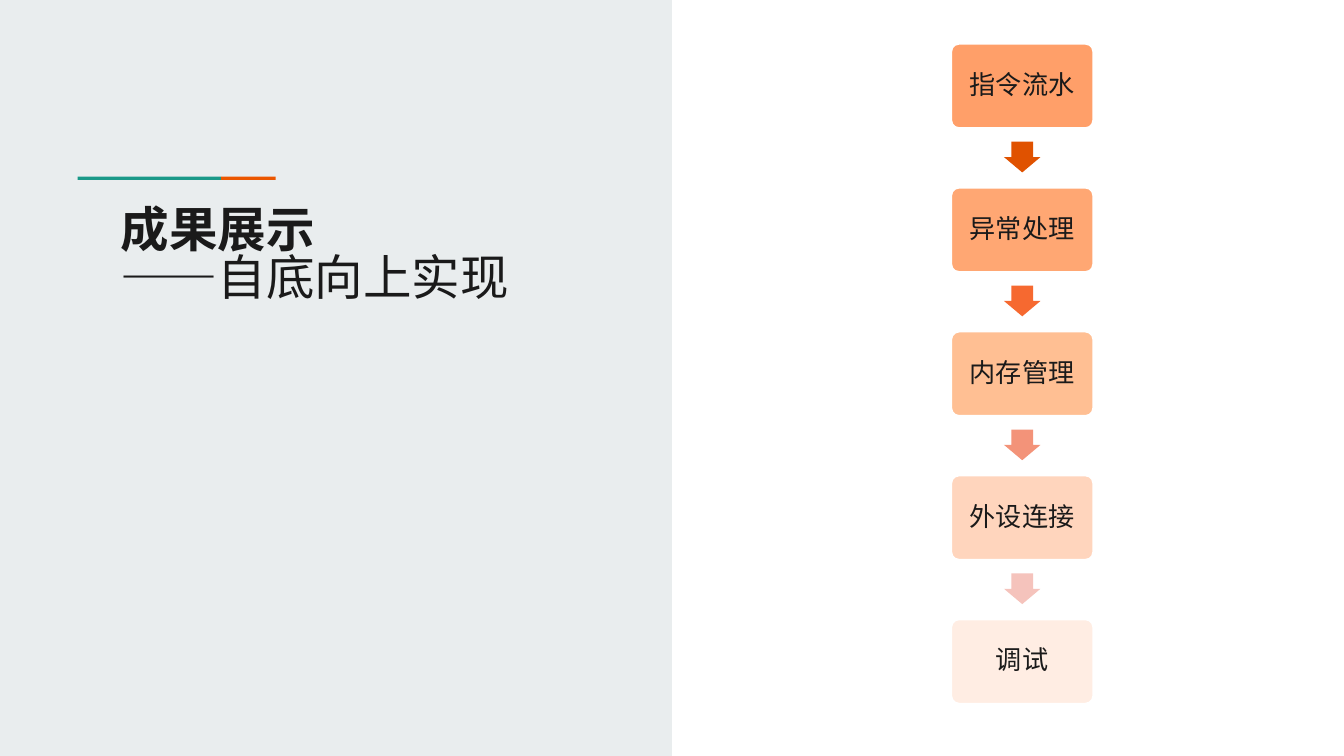
from lxml.etree import SubElement
from pptx import Presentation
from pptx.dml.color import RGBColor
from pptx.enum.shapes import MSO_SHAPE as Preset
from pptx.enum.text import MSO_ANCHOR as Anchor, MSO_AUTO_SIZE as AutoSize, PP_ALIGN as Align
from pptx.oxml.ns import qn
from pptx.util import Cm, Pt

STEPS = [
    ("指令流水", "FF9559", 90),
    ("异常处理", "FF9151", 80),
    ("内存管理", "FFA466", 70),
    ("外设连接", "FFB991", 60),
    ("调试", "FFDCC8", 50),
]
ARROW_COLOURS = ["E05200", "F66930", "F39379", "F5C3BC"]
FLOW_CENTRE, FLOW_TOP, FLOW_PITCH = 19.32, 0.81, 2.72
STEP_WIDTH, STEP_HEIGHT = 2.72, 1.63
ARROW_WIDTH, ARROW_HEIGHT, ARROW_OFFSET = 0.69, 0.58, 1.87


def colour(value):
    """Turn a hex string into a colour."""
    return RGBColor.from_string(value)


class Slide:
    """Hold the style and the current slide."""

    font = "Noto Sans CJK SC"
    ink = "1A1A1A"

    def __init__(self, deck):
        """Add a title-only page to the deck."""
        self.page = deck.slides.add_slide(deck.slide_layouts[5])

    def style(self, para, size, align, spacing):
        """Format a whole paragraph."""
        para.alignment = align
        para.line_spacing = spacing
        para.font.size = Pt(size)
        para.font.color.rgb = colour(self.ink)
        para.font.name = self.font
        defaults = para._p.pPr.find(qn("a:defRPr"))
        SubElement(defaults, qn("a:ea"), typeface=self.font)

    def shape(self, preset, left, top, width, height, fill, adjustments=()):
        """Add a flat shape without an outline."""
        box = self.page.shapes.add_shape(preset, Cm(left), Cm(top), Cm(width), Cm(height))
        box.shadow.inherit = False
        box.fill.solid()
        box.fill.fore_color.rgb = colour(fill)
        box.line.fill.background()
        for index, value in enumerate(adjustments):
            box.adjustments[index] = value
        return box

    def title(self, left, top, width, height, heading, subheading):
        """Fill the title placeholder and bring it to the front."""
        box = self.page.shapes.title
        box.left, box.top, box.width, box.height = Cm(left), Cm(top), Cm(width), Cm(height)
        self.page.shapes._spTree.append(box._element)
        frame = box.text_frame
        frame.auto_size = AutoSize.NONE
        frame.word_wrap = True
        frame.vertical_anchor = Anchor.TOP
        frame.margin_left = frame.margin_right = Cm(0.25)
        frame.margin_top = frame.margin_bottom = Cm(0.25)
        para = frame.paragraphs[0]
        self.style(para, 26, Align.LEFT, 0.83)
        span = para.add_run()
        span.text = heading
        span.font.bold = True
        para.add_line_break()
        span = para.add_run()
        span.text = subheading
        span.font.bold = False

    def step(self, top, text, fill, opacity):
        """Add one translucent step of the flow."""
        box = self.shape(Preset.ROUNDED_RECTANGLE, FLOW_CENTRE - STEP_WIDTH / 2, top,
                         STEP_WIDTH, STEP_HEIGHT, fill, [0.1])
        tint = box._element.spPr.find(qn("a:solidFill"))[0]
        SubElement(tint, qn("a:alpha"), val=str(opacity * 1000))
        box.line.color.rgb = colour("FFFFFF")
        box.line.width = Pt(2)
        frame = box.text_frame
        frame.word_wrap = True
        frame.vertical_anchor = Anchor.MIDDLE
        frame.margin_left = frame.margin_right = Cm(0.2)
        frame.margin_top = frame.margin_bottom = Cm(0.2)
        para = frame.paragraphs[0]
        para.text = text
        self.style(para, 14, Align.CENTER, 0.9)

    def arrow(self, top, fill):
        """Add a block arrow between two steps."""
        self.shape(Preset.DOWN_ARROW, FLOW_CENTRE - ARROW_WIDTH / 2, top,
                   ARROW_WIDTH, ARROW_HEIGHT, fill, [0.6, 0.5])


def main():
    """Build and save the deck."""
    deck = Presentation()
    deck.slide_width, deck.slide_height = Cm(25.4), Cm(14.29)
    slide = Slide(deck)
    slide.shape(Preset.RECTANGLE, 0, 0, 12.7, 14.29, "E9EDEE")
    slide.shape(Preset.RECTANGLE, 1.47, 3.34, 2.71, 0.06, "1A9988")
    slide.shape(Preset.RECTANGLE, 4.18, 3.34, 1.03, 0.06, "EB5600")
    slide.title(2.03, 3.7, 9.17, 4.7, "成果展示", "——自底向上实现")
    for index, (text, fill, opacity) in enumerate(STEPS):
        slide.step(FLOW_TOP + index * FLOW_PITCH, text, fill, opacity)
    for index, fill in enumerate(ARROW_COLOURS):
        slide.arrow(FLOW_TOP + ARROW_OFFSET + index * FLOW_PITCH, fill)
    deck.save("out.pptx")


if __name__ == "__main__":
    main()
